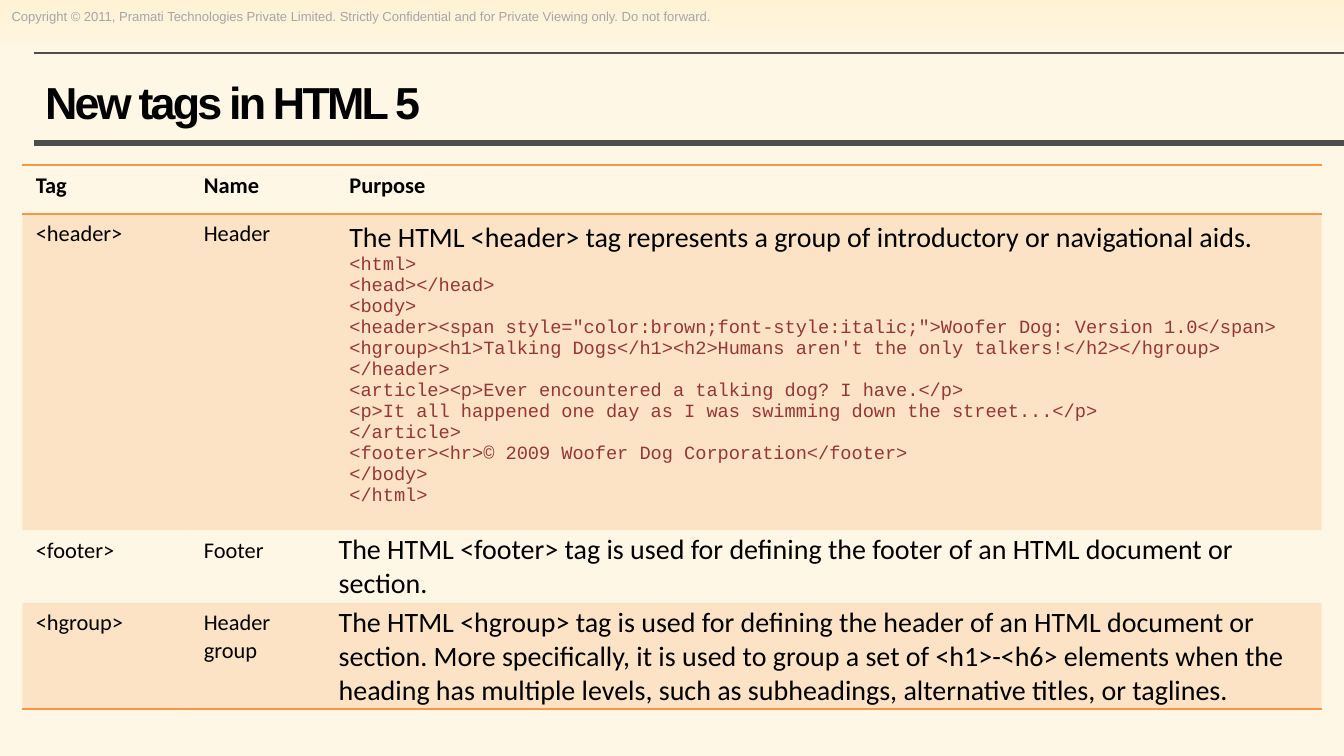
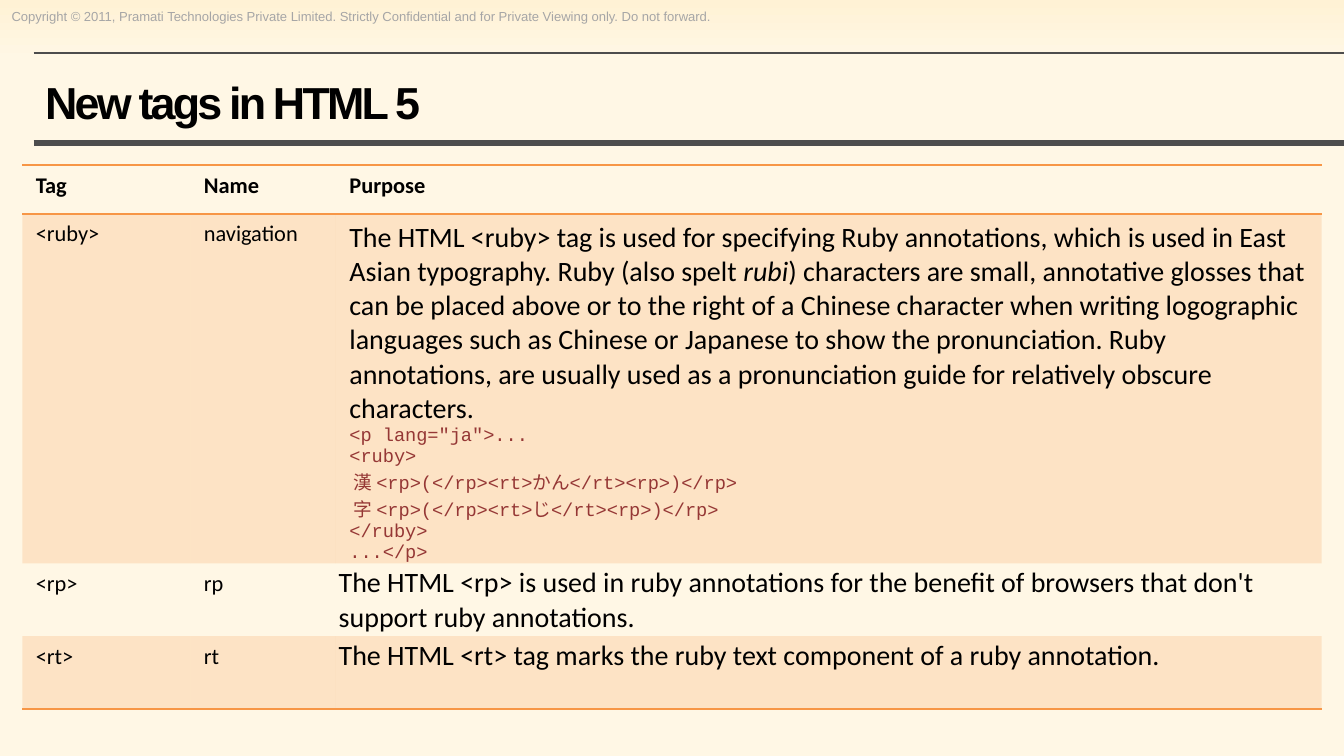
from lxml import etree
from pptx import Presentation
from pptx import util as u
from pptx.dml.color import RGBColor
from pptx.enum import shapes, text
from pptx.oxml import parse_xml
from pptx.oxml.ns import nsdecls, qn

COLORS = {
    "top": "FFF2D5",
    "paper": "FFF7E5",
    "rule": "4D4D4D",
    "notice": "A6A6A6",
    "ink": "000000",
    "code": "953735",
    "accent": "F79646",
    "glow": "FFFFFF",
}
NOTICE = ("Copyright © 2011, Pramati Technologies Private Limited. "
          "Strictly Confidential and for Private Viewing only. Do not forward.")
TITLE = "New tags in HTML 5"
HEADINGS = ("Tag", "Name", "Purpose")
PLAIN_STYLE = "{2D5ABB26-0587-4C30-8999-92F81FD0307C}"

PAGES = [
    [
        ("<header>", "Header",
         ["The HTML <header> tag represents a group of introductory or navigational aids."],
         """<html>
<head></head>
<body>
<header><span style="color:brown;font-style:italic;">Woofer Dog: Version 1.0</span>
<hgroup><h1>Talking Dogs</h1><h2>Humans aren't the only talkers!</h2></hgroup>
</header>
<article><p>Ever encountered a talking dog? I have.</p>
<p>It all happened one day as I was swimming down the street...</p>
</article>
<footer><hr>© 2009 Woofer Dog Corporation</footer>
</body>
</html>"""),
        ("<footer>", "Footer",
         ["The HTML <footer> tag is used for defining the footer of an HTML document or section."],
         ""),
        ("<hgroup>", "Header group",
         ["The HTML <hgroup> tag is used for defining the header of an HTML document or section. "
          "More specifically, it is used to group a set of <h1>-<h6> elements when the heading has "
          "multiple levels, such as subheadings, alternative titles, or taglines."],
         ""),
    ],
    [
        ("<ruby>", "navigation",
         ["The HTML <ruby> tag is used for specifying Ruby annotations, which is used in East "
          "Asian typography. Ruby (also spelt ",
          "rubi",
          ") characters are small, annotative glosses that can be placed above or to the right of "
          "a Chinese character when writing logographic languages such as Chinese or Japanese to "
          "show the pronunciation. Ruby annotations, are usually used as a pronunciation guide "
          "for relatively obscure characters."],
         """<p lang="ja">...
<ruby>
 漢 <rp>(</rp><rt>かん</rt><rp>)</rp>
 字 <rp>(</rp><rt>じ</rt><rp>)</rp>
</ruby>
...</p>"""),
        ("<rp>", "rp",
         ["The HTML <rp> is used in ruby annotations for the benefit of browsers that don't "
          "support ruby annotations."],
         ""),
        ("<rt>", "rt",
         ["The HTML <rt> tag marks the ruby text component of a ruby annotation."],
         ""),
    ],
]


def style(font, name, size, color, bold=False):
    font.name = name
    font.size = u.Pt(size)
    font.bold = bold
    font.color.rgb = RGBColor.from_string(COLORS[color])


def add_border(cell, side):
    cell._tc.get_or_add_tcPr().insert(0, parse_xml(
        f'<a:{side} {nsdecls("a")} w="12700"><a:solidFill>'
        f'<a:srgbClr val="{COLORS["accent"]}"/></a:solidFill></a:{side}>'))


deck = Presentation()
deck.slide_width = u.Pt(720)
deck.slide_height = u.Pt(405)

for entries in PAGES:
    page = deck.slides.add_slide(deck.slide_layouts[6])

    backdrop = page.background.fill
    backdrop.gradient()
    backdrop.gradient_angle = 270
    for stop, color, position in zip(backdrop.gradient_stops, ("top", "paper"), (0, 0.08)):
        stop.color.rgb = RGBColor.from_string(COLORS[color])
        stop.position = position

    notice = page.shapes.add_textbox(u.Pt(0), u.Pt(1.4), u.Pt(400), u.Pt(15)).text_frame
    notice.word_wrap = False
    notice.auto_size = text.MSO_AUTO_SIZE.SHAPE_TO_FIT_TEXT
    notice.margin_left = notice.margin_right = u.Pt(6.2)
    notice.margin_top = notice.margin_bottom = u.Pt(3.1)
    notice.text = NOTICE
    style(notice.paragraphs[0].font, "Arial", 7, "notice")

    for top, weight in ((76.5, 3), (28.5, 0.75)):
        rule = page.shapes.add_connector(
            shapes.MSO_CONNECTOR.STRAIGHT, u.Pt(18), u.Pt(top), u.Pt(720), u.Pt(top))
        rule.line.width = u.Pt(weight)
        rule.line.color.rgb = RGBColor.from_string(COLORS["rule"])
        etree.SubElement(rule._element.spPr, qn("a:effectLst"))

    title = page.shapes.add_textbox(u.Pt(18), u.Pt(32), u.Pt(672), u.Pt(45)).text_frame
    title.word_wrap = True
    title.vertical_anchor = text.MSO_ANCHOR.MIDDLE
    title.margin_left = title.margin_right = u.Pt(6.2)
    title.margin_top = title.margin_bottom = u.Pt(3.1)
    span = title.paragraphs[0].add_run()
    span.text = TITLE
    style(span.font, "Arial", 24, "ink", True)
    properties = span._r.get_or_add_rPr()
    properties.set("spc", "-150")
    properties.find(qn("a:solidFill")).addnext(parse_xml(
        f'<a:effectLst {nsdecls("a")}><a:outerShdw dist="25400" dir="2700000">'
        f'<a:srgbClr val="{COLORS["glow"]}"/></a:outerShdw></a:effectLst>'))

    frame = page.shapes.add_table(4, 3, u.Pt(12), u.Pt(88.5), u.Pt(696), u.Pt(292))
    table = frame.table
    table._tbl.tblPr.find(qn("a:tableStyleId")).text = PLAIN_STYLE
    for column, width in zip(table.columns, (90, 78, 528)):
        column.width = u.Pt(width)
    for row, height in zip(table.rows, (26, 39, 39, 39)):
        row.height = u.Pt(height)
    frame.height = u.Pt(292)

    for column, heading in enumerate(HEADINGS):
        cell = table.cell(0, column)
        cell.text = heading
        style(cell.text_frame.paragraphs[0].font, "Calibri", 12, "ink", True)

    for row, (tag, name, purpose, code) in enumerate(entries, 1):
        for column, label in enumerate((tag, name)):
            cell = table.cell(row, column)
            cell.text = label
            style(cell.text_frame.paragraphs[0].font, "Calibri", 12, "ink")

        cell = table.cell(row, 2)
        if row > 1:
            cell.margin_left = cell.margin_right = u.Pt(1.5)
            cell.margin_top = cell.margin_bottom = u.Pt(1.5)
        para = cell.text_frame.paragraphs[0]
        style(para.font, "Calibri", 15, "ink")
        for index, part in enumerate(purpose):
            span = para.add_run()
            span.text = part
            if index == 1:
                span.font.italic = True
        for line in code.splitlines():
            para = cell.text_frame.add_paragraph()
            para.text = line
            style(para.font, "Courier New", 10, "code")

    for row in range(4):
        for column in range(3):
            cell = table.cell(row, column)
            if row % 2:
                cell.fill.solid()
                cell.fill.fore_color.rgb = RGBColor.from_string(COLORS["accent"])
                tint = cell._tc.tcPr.find(qn("a:solidFill"))[0]
                etree.SubElement(tint, qn("a:alpha")).set("val", "20000")
            else:
                cell.fill.background()
            if row in (0, 3):
                add_border(cell, "lnB")
            if row == 0:
                add_border(cell, "lnT")

deck.save("out.pptx")
